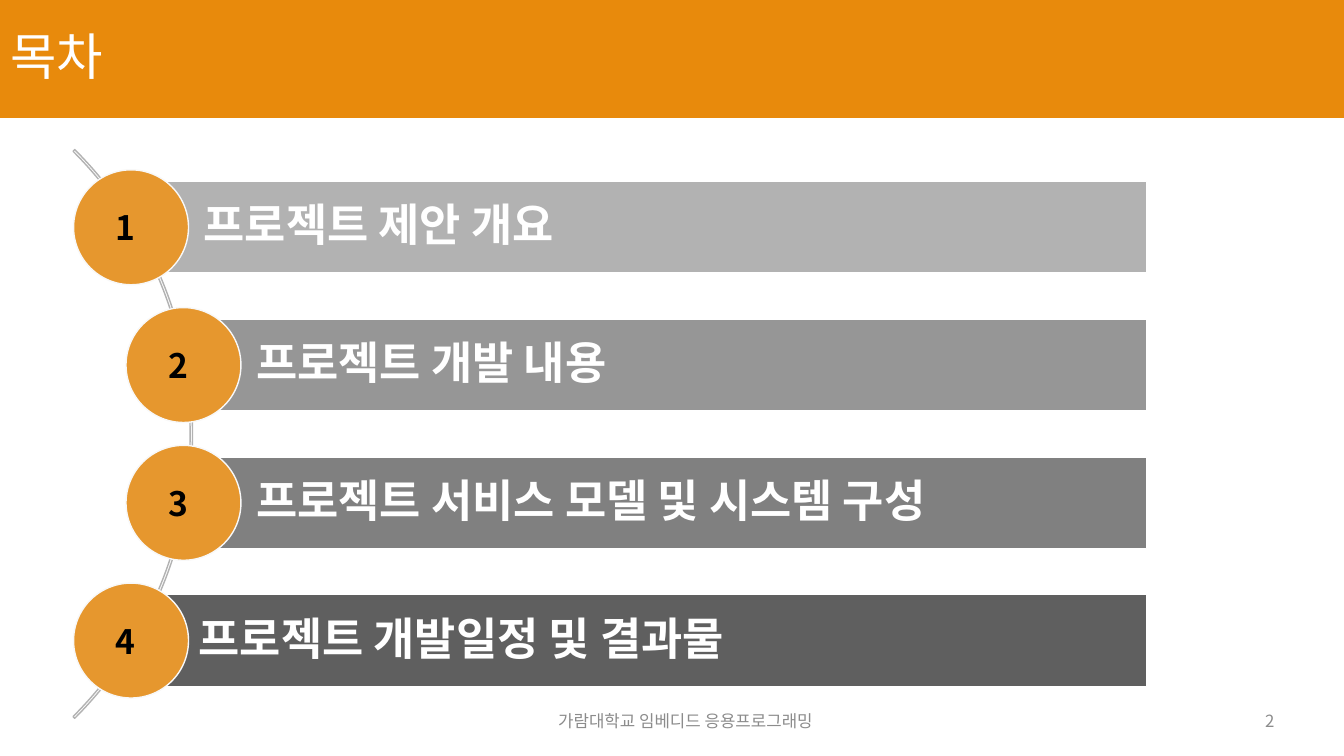
"""Build a contents slide with four numbered bars along an arc."""
from lxml import etree
from pptx import Presentation
from pptx.dml.color import RGBColor
from pptx.enum.shapes import MSO_SHAPE
from pptx.enum.text import MSO_ANCHOR, MSO_AUTO_SIZE, PP_ALIGN
from pptx.oxml.ns import qn
from pptx.util import Inches, Pt

RECT, OVAL, ARC = MSO_SHAPE.RECTANGLE, MSO_SHAPE.OVAL, MSO_SHAPE.BLOCK_ARC
LEFT, MID, RIGHT = PP_ALIGN.LEFT, PP_ALIGN.CENTER, PP_ALIGN.RIGHT

TITLE = "목차"
ITEMS = [
    ("프로젝트 제안 개요", "B2B2B2", 1.3, 0),
    ("프로젝트 개발 내용", "969696", 1.82, 0),
    ("프로젝트 서비스 모델 및 시스템 구성", "808080", 1.82, 0),
    ("프로젝트 개발일정 및 결과물", "5F5F5F", 1.3, 0.05),
]
FOOT = "가람대학교 임베디드 응용프로그래밍"
PAGE = "2"

THEME = {
    "font": "Noto Sans CJK KR",
    "band": "E88A0C", "disc": "E6972E", "rim": "F8F8F8", "arc": "B2B2B2",
    "white": "FFFFFF", "black": "000000", "gray": "8C8C8C",
    "head": 36, "item": 32, "num": 24, "foot": 12,
}

WIDE, HIGH = 13.33, 7.5
BAND = 1.17
TOP, PITCH, BAR = 1.8, 4.1 / 3, 0.91
END = 11.37
DISC = 1.14
RING = 7.98
RING_X = -6.07
INSET = 0.72
FOOT_Y, FOOT_H = 6.95, 0.4


def color(name):
    return RGBColor.from_string(name)


def write(shape, text, size, ink, bold=False, align=LEFT, lead=1.0, inset=0.1):
    frame = shape.text_frame
    frame.word_wrap = True
    frame.auto_size = MSO_AUTO_SIZE.NONE
    frame.vertical_anchor = MSO_ANCHOR.MIDDLE
    frame.margin_left = Inches(inset)
    para = frame.paragraphs[0]
    para.alignment, para.line_spacing = align, lead
    run = para.add_run()
    run.text = text
    font = run.font
    font.size, font.bold, font.name = Pt(size), bold, THEME["font"]
    font.color.rgb = color(ink)
    east = etree.SubElement(font._element, qn("a:ea"))
    east.set("typeface", THEME["font"])


def draw(slide, kind, x, y, w, h, line, fill=None):
    shape = slide.shapes.add_shape(kind, *map(Inches, (x, y, w, h)))
    shape.shadow.inherit = False
    if fill:
        shape.fill.solid()
        shape.fill.fore_color.rgb = color(fill)
    else:
        shape.fill.background()
    shape.line.color.rgb = color(line)
    shape.line.width = Pt(1)
    return shape


def add_head(slide):
    head = slide.shapes.title
    head.left = head.top = 0
    head.width, head.height = Inches(WIDE), Inches(BAND)
    head.fill.solid()
    head.fill.fore_color.rgb = color(THEME["band"])
    write(head, TITLE, THEME["head"], THEME["white"], lead=0.9)


def add_list(slide):
    mid = TOP + (PITCH * (len(ITEMS) - 1) + BAR) / 2
    arc = draw(slide, ARC, RING_X, mid - RING / 2, RING, RING, THEME["arc"])
    for i, value in enumerate((189, 27, 0.003)):
        arc.adjustments[i] = value
    for i, (text, fill, x, shift) in enumerate(ITEMS):
        y = TOP + i * PITCH
        start = x - shift
        bar = draw(slide, RECT, start, y, END - start, BAR, THEME["white"], fill)
        write(bar, text, THEME["item"], THEME["white"],
              bold=True, lead=0.9, inset=INSET)
        disc = draw(slide, OVAL, x - DISC / 2, y + (BAR - DISC) / 2,
                    DISC, DISC, THEME["rim"], THEME["disc"])
        write(disc, str(i + 1), THEME["num"], THEME["black"],
              bold=True, inset=0.25)


def add_foot(slide):
    for text, x, w, align in ((FOOT, 4.21, 5.18, MID), (PAGE, 9.28, 3.46, RIGHT)):
        box = slide.shapes.add_textbox(*map(Inches, (x, FOOT_Y, w, FOOT_H)))
        write(box, text, THEME["foot"], THEME["gray"], align=align)


def main():
    deck = Presentation()
    deck.slide_width, deck.slide_height = Inches(WIDE), Inches(HIGH)
    slide = deck.slides.add_slide(deck.slide_layouts[5])
    add_head(slide)
    add_list(slide)
    add_foot(slide)
    deck.save("out.pptx")


if __name__ == "__main__":
    main()
